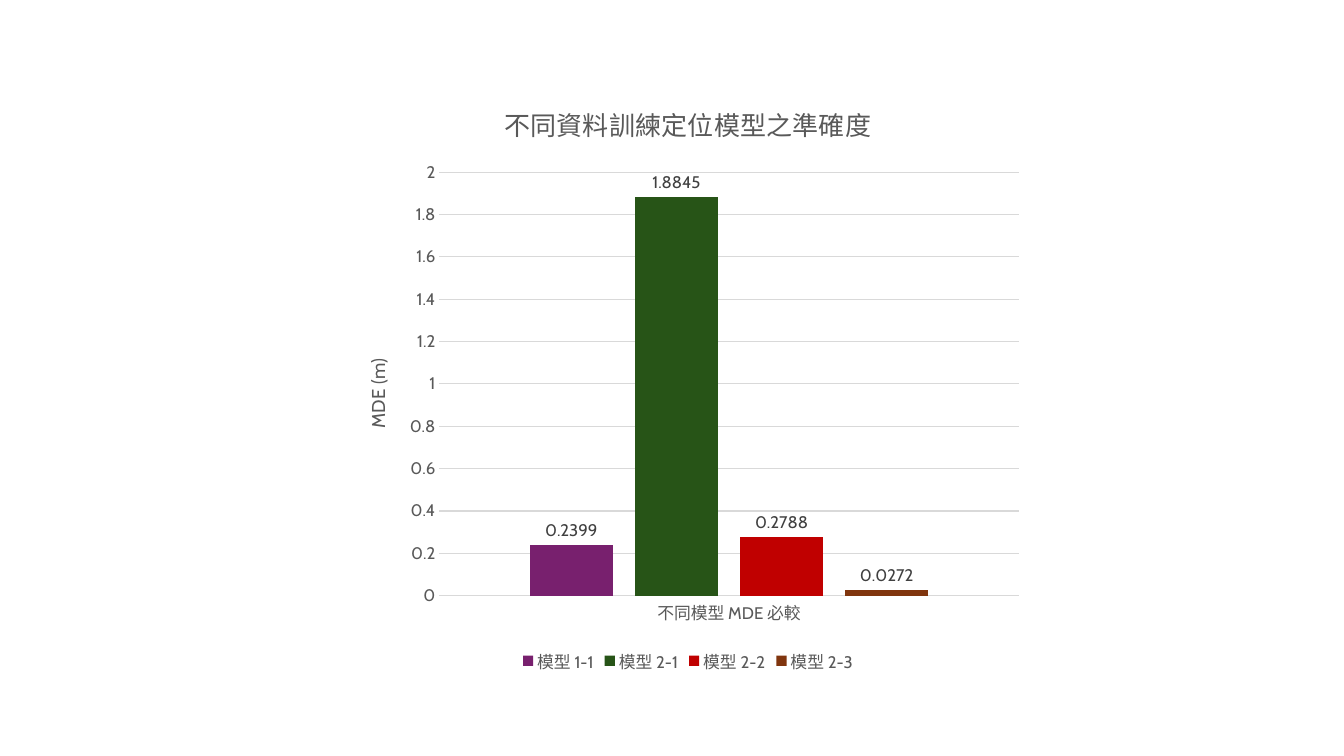
from dataclasses import dataclass

from pptx import Presentation
from pptx import util as u
from pptx.chart.data import CategoryChartData
from pptx.dml.color import RGBColor
from pptx.enum import chart as ch


@dataclass(frozen=True)
class Theme:
    font: str = "Cabin"
    ink: str = "595959"
    value_ink: str = "404040"
    rule: str = "D9D9D9"
    title_size: float = 18.6
    axis_title_size: float = 13.3
    label_size: float = 12
    rule_width: float = 0.75


MODELS = [  # name, mean distance error in metres, colour
    ("模型 1-1", 0.2399, "78206E"),
    ("模型 2-1", 1.8845, "275417"),
    ("模型 2-2", 0.2788, "C00000"),
    ("模型 2-3", 0.0272, "80350E"),
]


def apply(target, formats):
    for name, value in formats.items():
        setattr(target, name, value)


class SlideBuilder:
    def __init__(self, deck, theme):
        self.deck, self.theme = deck, theme
        self.slide = deck.slides.add_slide(deck.slide_layouts[6])

    def place(self, left, top, width, height):
        """Turn percentages of the slide into lengths."""
        wide, high = self.deck.slide_width, self.deck.slide_height
        return [u.Emu(round(share * side / 100)) for share, side in
                zip((left, top, width, height), (wide, high, wide, high))]

    def style_font(self, font, size, color):
        apply(font, {"name": self.theme.font, "size": u.Pt(size), "bold": False})
        font.color.rgb = RGBColor.from_string(color)

    def style_line(self, line):
        line.color.rgb = RGBColor.from_string(self.theme.rule)
        line.width = u.Pt(self.theme.rule_width)

    def title(self, owner, wording, size):
        frame = (owner.chart_title if hasattr(owner, "chart_title")
                 else owner.axis_title).text_frame
        frame.text = wording
        self.style_font(frame.paragraphs[0].runs[0].font, size, self.theme.ink)

    def column_chart(self, area, category, rows, heading, unit):
        theme = self.theme
        data = CategoryChartData()
        data.categories = [category]
        for name, value, _ in rows:
            data.add_series(name, [value])
        chart = self.slide.shapes.add_chart(
            ch.XL_CHART_TYPE.COLUMN_CLUSTERED, *self.place(*area), data).chart
        self.style_font(chart.font, theme.label_size, theme.ink)
        self.title(chart, heading, theme.title_size)

        # Axes
        for axis in (chart.category_axis, chart.value_axis):
            apply(axis, {"major_tick_mark": ch.XL_TICK_MARK.NONE,
                         "minor_tick_mark": ch.XL_TICK_MARK.NONE})
            self.style_font(axis.tick_labels.font, theme.label_size, theme.ink)
        self.style_line(chart.category_axis.format.line)
        self.style_line(chart.value_axis.major_gridlines.format.line)
        chart.value_axis.format.line.fill.background()
        self.title(chart.value_axis, unit, theme.axis_title_size)

        # Legend
        chart.has_legend = True
        apply(chart.legend, {"position": ch.XL_LEGEND_POSITION.BOTTOM,
                             "include_in_layout": False})
        self.style_font(chart.legend.font, theme.label_size, theme.ink)

        # Columns and their values
        plot = chart.plots[0]
        apply(plot, {"gap_width": 219, "overlap": -27,
                     "vary_by_categories": False})
        for series, (_, _, color) in zip(plot.series, rows):
            series.format.fill.solid()
            series.format.fill.fore_color.rgb = RGBColor.from_string(color)
            apply(series.data_labels, {
                "show_value": True,
                "position": ch.XL_LABEL_POSITION.OUTSIDE_END})
            self.style_font(series.data_labels.font, theme.label_size,
                            theme.value_ink)


def main():
    deck = Presentation()
    apply(deck, {"slide_width": u.Inches(13.33), "slide_height": u.Inches(7.5)})
    accuracy = SlideBuilder(deck, Theme())
    accuracy.column_chart((25.58, 10.53, 51.24, 79.07), "不同模型 MDE 必較",
                          MODELS, "不同資料訓練定位模型之準確度", "MDE (m)")
    deck.save("out.pptx")


if __name__ == "__main__":
    main()
